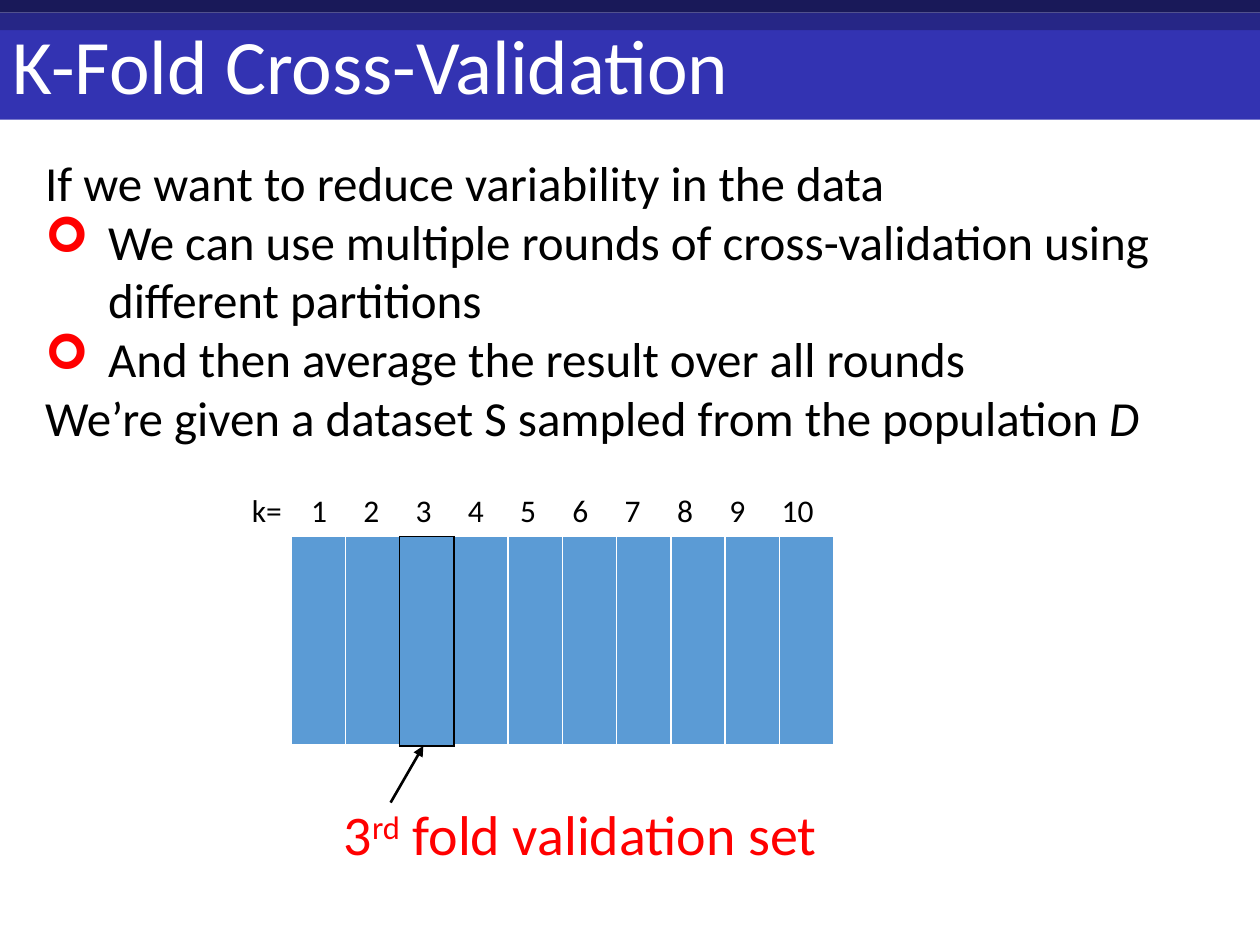
from lxml.etree import SubElement
from pptx import Presentation
from pptx.dml.color import RGBColor
from pptx.enum.shapes import MSO_CONNECTOR as Connector, MSO_SHAPE as Shape
from pptx.enum.text import MSO_ANCHOR as Anchor, MSO_AUTO_SIZE as AutoSize, PP_ALIGN as Align
from pptx.oxml.ns import qn
from pptx.util import Inches, Pt

COLORS = {"blue": "3333B2", "navy": "191959", "indigo": "262686", "fold": "5B9BD5",
          "white": "FFFFFF", "black": "000000", "red": "FF0000"}
FOLDS = 10
VALIDATION_FOLD = 3

presentation = Presentation()
presentation.slide_width = Inches(10)
presentation.slide_height = Inches(7.5)
column = presentation.slide_width / 100
row = presentation.slide_height / 75
slide = presentation.slides.add_slide(presentation.slide_layouts[5])


def add_run(paragraph, text, size, color):
    run = paragraph.add_run()
    run.text = text
    run.font.name = "Calibri"
    run.font.size = Pt(size)
    run.font.color.rgb = RGBColor.from_string(COLORS[color])
    return run


def add_text_frame(left, top, width, height):
    box = slide.shapes.add_textbox(int(left * column), int(top * row),
                                   int(width * column), int(height * row))
    box.text_frame.word_wrap = True
    box.text_frame.auto_size = AutoSize.SHAPE_TO_FIT_TEXT
    return box.text_frame


for top, height, color in [(2.2, 7.3, "blue"), (0, 1, "navy"), (1, 1.4, "indigo")]:
    band = slide.shapes.add_shape(Shape.RECTANGLE, 0, int(top * row),
                                  presentation.slide_width, int(height * row))
    band.shadow.inherit = False
    band.fill.solid()
    band.fill.fore_color.rgb = RGBColor.from_string(COLORS[color])
    band.line.fill.background()

title = slide.shapes.title
title.element.getparent().append(title.element)
title.left, title.top = 0, int(1.5 * row)
title.width, title.height = presentation.slide_width, int(8 * row)
title.text_frame.vertical_anchor = Anchor.MIDDLE
title.text_frame.auto_size = AutoSize.NONE
paragraph = title.text_frame.paragraphs[0]
paragraph.alignment = Align.LEFT
paragraph.line_spacing = 0.9
add_run(paragraph, "K-Fold Cross-Validation", 44, "white")

body = add_text_frame(2.6, 11.6, 99.3, 24.6)
statements = [
    ("If we want to reduce variability in the data", False),
    ("We can use multiple rounds of cross-validation using different partitions", True),
    ("And then average the result over all rounds", True),
    ("We’re given a dataset S sampled from the population ", False),
]
for index, (text, bulleted) in enumerate(statements):
    paragraph = body.add_paragraph() if index else body.paragraphs[0]
    add_run(paragraph, text, 28, "black")
    if bulleted:
        properties = paragraph._p.get_or_add_pPr()
        properties.set("marL", str(Inches(0.5)))
        properties.set("indent", str(-Inches(0.5)))
        bullet_color = SubElement(properties, qn("a:buClr"))
        SubElement(bullet_color, qn("a:srgbClr"), val=COLORS["red"])
        SubElement(properties, qn("a:buFont"), typeface="Wingdings")
        SubElement(properties, qn("a:buChar"), char="➢")
add_run(paragraph, "D", 28, "black").font.italic = True

paragraph = add_text_frame(19, 38.5, 50.2, 4).paragraphs[0]
tabs = SubElement(paragraph._p.get_or_add_pPr(), qn("a:tabLst"))
add_run(paragraph, "k=", 18, "black")
for fold in range(FOLDS):
    SubElement(tabs, qn("a:tab"), pos=str(int((4.7 + 4.15 * fold) * column)), algn="l")
    add_run(paragraph, f"\t{fold + 1}", 18, "black")

table = slide.shapes.add_table(1, FOLDS, int(23.1 * column), int(42.6 * row),
                               int(43.1 * column), int(16.6 * row)).table
table.first_row = False
table.horz_banding = False
for fold in range(1, FOLDS + 1):
    cell = table.cell(0, fold - 1)
    properties = cell._tc.get_or_add_tcPr()
    black_sides = {VALIDATION_FOLD - 1: "R", VALIDATION_FOLD: "LRTB",
                   VALIDATION_FOLD + 1: "L"}.get(fold, "")
    for side in "LRTB":
        black = side in black_sides
        width = 3 if side == "B" and not black else 1
        border = SubElement(properties, qn(f"a:ln{side}"), w=str(Pt(width)))
        border_fill = SubElement(border, qn("a:solidFill"))
        SubElement(border_fill, qn("a:srgbClr"), val=COLORS["black" if black else "white"])
    cell.fill.solid()
    cell.fill.fore_color.rgb = RGBColor.from_string(COLORS["fold"])

arrow = slide.shapes.add_connector(Connector.STRAIGHT, int(31 * column), int(63.7 * row),
                                   int(33.6 * column), int(59.2 * row))
arrow.line.color.rgb = RGBColor.from_string(COLORS["black"])
arrow.line.width = Pt(1.5)
SubElement(arrow.line._get_or_add_ln(), qn("a:tailEnd"), type="triangle")
SubElement(arrow.element.spPr, qn("a:effectLst"))

paragraph = add_text_frame(26.3, 63, 44, 6.4).paragraphs[0]
add_run(paragraph, str(VALIDATION_FOLD), 32, "red")
ordinal = add_run(paragraph, "rd", 32, "red")
ordinal._r.get_or_add_rPr().set("baseline", "30000")
add_run(paragraph, " fold validation set", 32, "red")

presentation.save("out.pptx")
